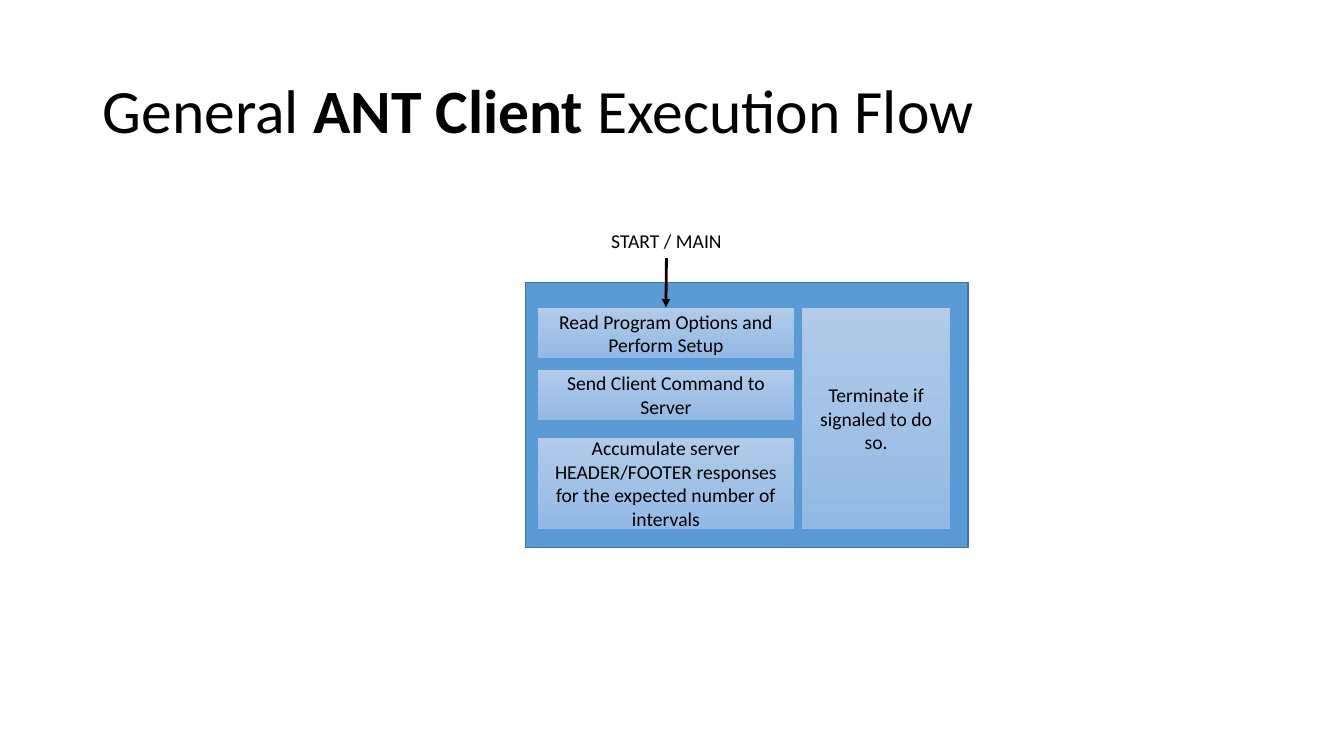
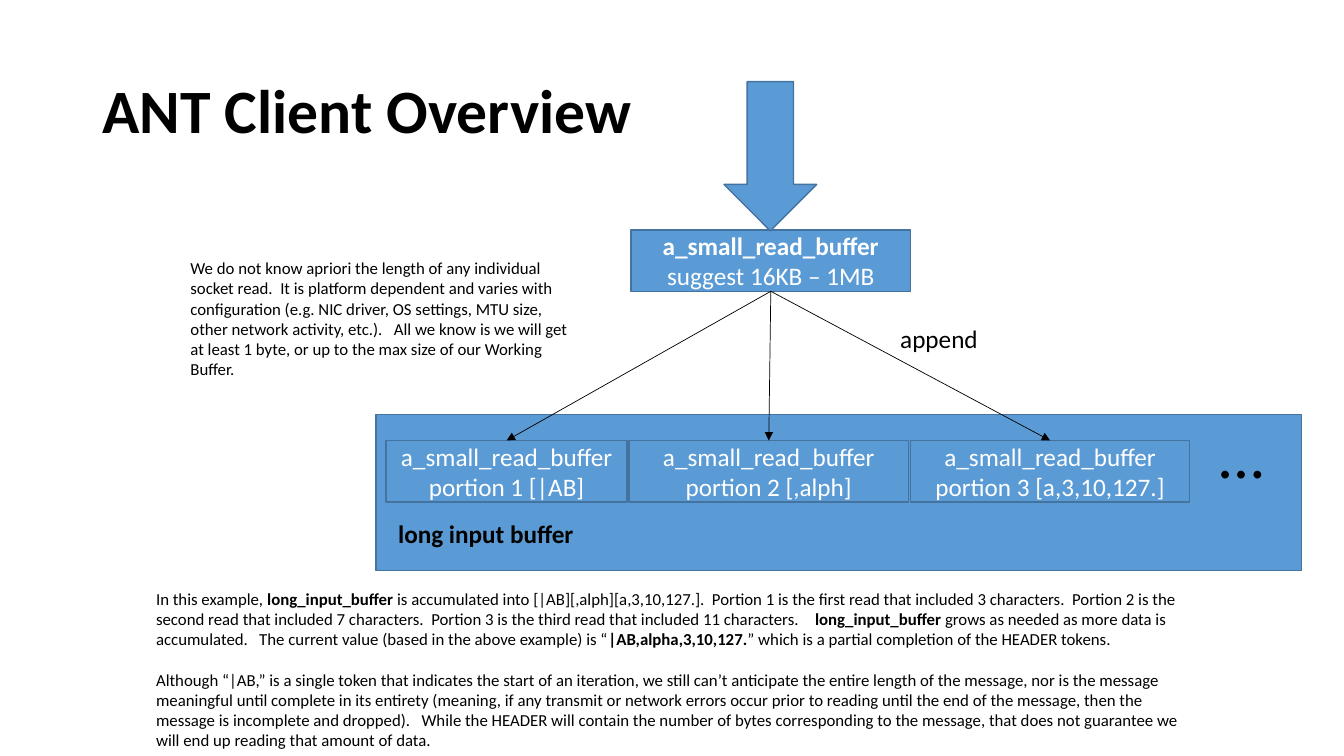
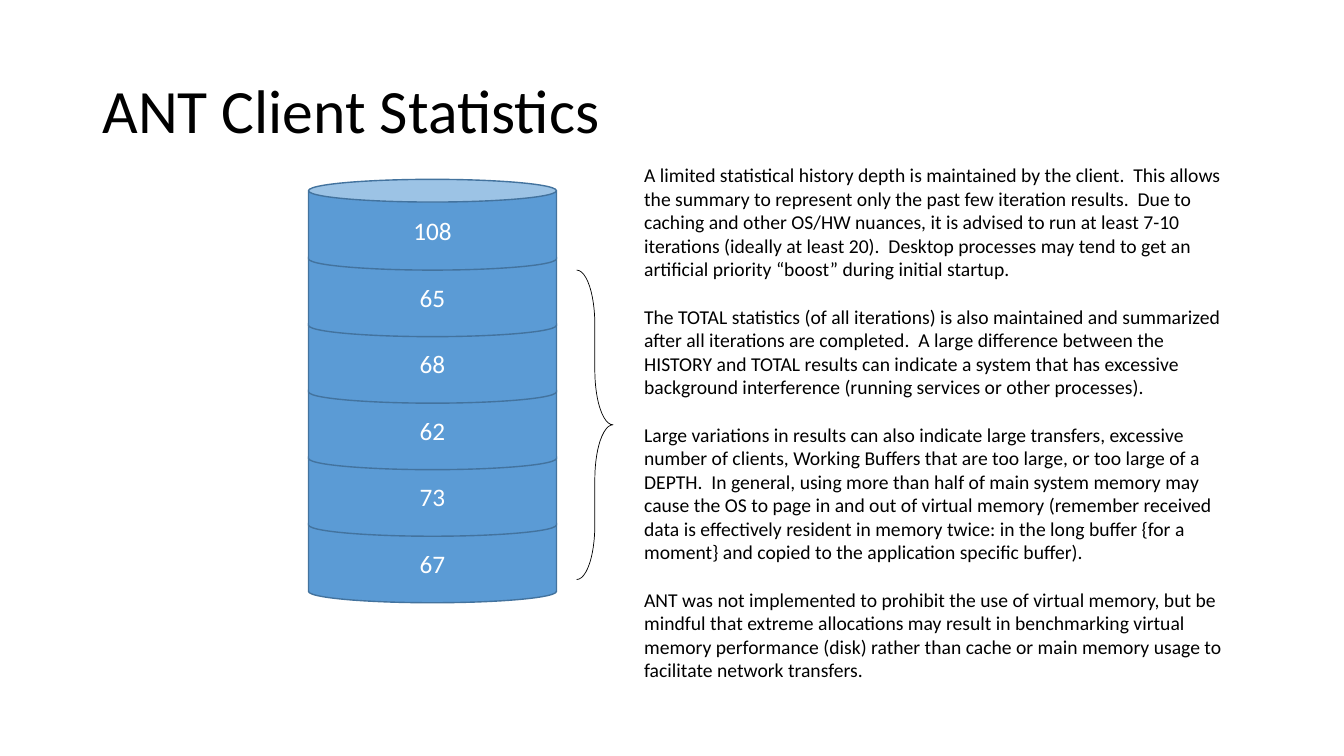
from dataclasses import dataclass

from lxml import etree
from pptx import Presentation
from pptx.dml.color import RGBColor
from pptx.enum.shapes import MSO_CONNECTOR, MSO_SHAPE
from pptx.enum.text import MSO_ANCHOR, PP_ALIGN
from pptx.oxml.ns import qn
from pptx.util import Inches, Pt

RECTANGLE = MSO_SHAPE.RECTANGLE
DOWN_ARROW = MSO_SHAPE.DOWN_ARROW
CAN = MSO_SHAPE.CAN
RIGHT_BRACE = MSO_SHAPE.RIGHT_BRACE
STRAIGHT = MSO_CONNECTOR.STRAIGHT
LEFT, CENTER = PP_ALIGN.LEFT, PP_ALIGN.CENTER
TOP, MIDDLE = MSO_ANCHOR.TOP, MSO_ANCHOR.MIDDLE

FONT = "Calibri"
COLORS = {
    "black": "000000",
    "white": "FFFFFF",
    "blue": "5B9BD5",
    "edge": "43739E",
    "pale_top": "B1CBE9",
    "pale_bottom": "93B9E4",
}


@dataclass(frozen=True)
class Area:
    """Position and size in inches."""

    left: float
    top: float
    width: float
    height: float

    @property
    def center(self) -> float:
        """Return the horizontal middle."""
        return self.left + self.width / 2

    def lengths(self) -> tuple:
        """Return the four measures as lengths."""
        return tuple(Inches(n) for n in (self.left, self.top, self.width, self.height))


@dataclass(frozen=True)
class Block:
    """An area with its text."""

    area: Area
    text: str


TITLE = Area(0.92, 0.4, 11.5, 1.45)

STEPS = (
    Block(Area(5.33, 3.05, 2.55, 0.51), "Read Program Options and Perform Setup"),
    Block(Area(5.33, 3.66, 2.55, 0.51), "Send Client Command to Server"),
    Block(
        Area(5.33, 4.34, 2.55, 0.91),
        "Accumulate server HEADER/FOOTER responses for the expected number of intervals",
    ),
    Block(Area(7.95, 3.05, 1.48, 2.2), "Terminate if signaled to do so."),
)

PORTIONS = (
    (2.39, "portion 1 [|AB]"),
    (2.77, "portion 2 [,alph]"),
    (2.77, "portion 3 [a,3,10,127.]"),
)

READ_NOTE = (
    "We do not know apriori the length of any individual socket read.  "
    "It is platform dependent and varies with configuration (e.g. NIC driver, "
    "OS settings, MTU size, other network activity, etc.).   All we know is we "
    "will get at least 1 byte, or up to the max size of our Working Buffer."
)

EXAMPLE_NOTES = (
    "In this example, **long_input_buffer** is accumulated into "
    "[|AB][,alph][a,3,10,127.].  Portion 1 is the first read that included "
    "3 characters.  Portion 2 is the second read that included 7 characters.  "
    "Portion 3 is the third read that included 11 characters.    "
    "**long_input_buffer** grows as needed as more data is accumulated.   "
    "The current value (based in the above example) is “**|AB,alpha,3,10,127.**” "
    "which is a partial completion of the HEADER tokens.",
    "Although “|AB,” is a single token that indicates the start of an iteration, "
    "we still can’t anticipate the entire length of the message, nor is the "
    "message meaningful until complete in its entirety (meaning, if any transmit "
    "or network errors occur prior to reading until the end of the message, then "
    "the message is incomplete and dropped).   While the HEADER will contain the "
    "number of bytes corresponding to the message, that does not guarantee we "
    "will end up reading that amount of data.",
)

HISTORY = (108, 65, 68, 62, 73, 67)

STATISTICS_NOTES = (
    "A limited statistical history depth is maintained by the client.  This allows "
    "the summary to represent only the past few iteration results.  Due to caching "
    "and other OS/HW nuances, it is advised to run at least 7-10 iterations "
    "(ideally at least 20).  Desktop processes may tend to get an artificial "
    "priority “boost” during initial startup.",
    "The TOTAL statistics (of all iterations) is also maintained and summarized "
    "after all iterations are completed.  A large difference between the HISTORY "
    "and TOTAL results can indicate a system that has excessive background "
    "interference (running services or other processes).",
    "Large variations in results can also indicate large transfers, excessive "
    "number of clients, Working Buffers that are too large, or too large of a "
    "DEPTH.  In general, using more than half of main system memory may cause the "
    "OS to page in and out of virtual memory (remember received data is effectively "
    "resident in memory twice: in the long buffer {for a moment} and copied to the "
    "application specific buffer).",
    "ANT was not implemented to prohibit the use of virtual memory, but be mindful "
    "that extreme allocations may result in benchmarking virtual memory performance "
    "(disk) rather than cache or main memory usage to facilitate network transfers.",
)


def rgb(name: str) -> RGBColor:
    """Look up a named colour."""
    return RGBColor.from_string(COLORS[name])


def write(box, *lines: str, size: float, color: str = "black", align=LEFT,
          anchor=TOP, gap: float = 0, spacing: float = 1.0) -> None:
    """Write one paragraph per line, with bold text between double asterisks."""
    frame = box.text_frame
    frame.word_wrap = True
    frame.vertical_anchor = anchor
    for index, line in enumerate(lines):
        para = frame.paragraphs[0] if index == 0 else frame.add_paragraph()
        para.alignment = align
        para.line_spacing = spacing
        para.space_before = Pt(gap if index else 0)
        for part, words in enumerate(line.split("**")):
            if words:
                span = para.add_run()
                span.text = words
                span.font.name = FONT
                span.font.size = Pt(size)
                span.font.bold = part % 2 == 1
                span.font.color.rgb = rgb(color)


def add_text(page, area: Area, *lines: str, **style) -> None:
    """Add a text box."""
    write(page.shapes.add_textbox(*area.lengths()), *lines, **style)


def add_blue(page, area: Area, *lines: str, kind=RECTANGLE) -> None:
    """Add a solid blue shape with white centred text."""
    shape = page.shapes.add_shape(kind, *area.lengths())
    shape.shadow.inherit = False
    shape.fill.solid()
    shape.fill.fore_color.rgb = rgb("blue")
    shape.line.color.rgb = rgb("edge")
    shape.line.width = Pt(1)
    write(shape, *lines, size=18, color="white", align=CENTER, anchor=MIDDLE)


def add_step(page, step: Block) -> None:
    """Add a pale gradient box for one step of the flow."""
    shape = page.shapes.add_shape(RECTANGLE, *step.area.lengths())
    shape.shadow.inherit = False
    shape.fill.gradient()
    shape.fill.gradient_angle = 270
    for stop, name in zip(shape.fill.gradient_stops, ("pale_top", "pale_bottom")):
        stop.color.rgb = rgb(name)
    shape.line.color.rgb = rgb("blue")
    shape.line.width = Pt(0.5)
    write(shape, step.text, size=14, align=CENTER, anchor=MIDDLE)


def add_arrow(page, start: tuple, end: tuple, *, width: float) -> None:
    """Add a black line with a triangle at its end."""
    points = (Inches(n) for n in (*start, *end))
    arrow = page.shapes.add_connector(STRAIGHT, *points)
    arrow.line.color.rgb = rgb("black")
    arrow.line.width = Pt(width)
    properties = arrow._element.spPr
    etree.SubElement(properties.find(qn("a:ln")), qn("a:tailEnd"), type="triangle")
    etree.SubElement(properties, qn("a:effectLst"))


def add_page(deck, title: str):
    """Add a blank page with its title."""
    page = deck.slides.add_slide(deck.slide_layouts[6])
    add_text(page, TITLE, title, size=44, anchor=MIDDLE, spacing=0.9)
    return page


def add_flow_page(deck) -> None:
    """Build the execution flow."""
    page = add_page(deck, "General **ANT Client** Execution Flow")
    add_blue(page, Area(5.21, 2.8, 4.39, 2.63))
    for step in STEPS:
        add_step(page, step)
    add_arrow(page, (6.61, 2.56), (STEPS[0].area.center, STEPS[0].area.top), width=2)
    add_text(page, Area(5.79, 2.22, 1.64, 0.34), "START / MAIN", size=14, align=CENTER)


def add_overview_page(deck) -> None:
    """Build the buffer overview."""
    page = add_page(deck, "**ANT Client Overview**")
    add_blue(page, Area(3.73, 4.11, 9.18, 1.55))
    buffer = Area(6.26, 2.28, 2.77, 0.61)
    add_blue(page, buffer, "**a_small_read_buffer**", "suggest 16KB – 1MB")
    add_blue(page, Area(7.18, 0.81, 0.92, 1.48), kind=DOWN_ARROW)
    left, gap = 3.83, 0.02
    for width, label in PORTIONS:
        portion = Area(left, 4.37, width, 0.61)
        add_blue(page, portion, "a_small_read_buffer", label)
        add_arrow(page, (buffer.center, buffer.top + buffer.height),
                  (portion.center, portion.top), width=0.5)
        left += width + gap
    add_text(page, Area(12, 4.05, 0.76, 0.88), "…", size=46, anchor=MIDDLE)
    add_text(page, Area(1.79, 2.51, 4.08, 1.31), READ_NOTE, size=12)
    add_text(page, Area(3.85, 5.09, 5.48, 0.4), "**long input buffer**", size=18)
    add_text(page, Area(1.45, 5.79, 10.54, 1.72), *EXAMPLE_NOTES, size=12, gap=14.5)
    add_text(page, Area(8.83, 3.16, 2.01, 0.4), "append", size=18)


def add_statistics_page(deck) -> None:
    """Build the statistics stack."""
    page = add_page(deck, "ANT Client Statistics")
    for index, value in reversed(list(enumerate(HISTORY))):
        add_blue(page, Area(3.06, 1.78 + 0.66 * index, 2.46, 0.9), str(value), kind=CAN)
    brace = page.shapes.add_shape(RIGHT_BRACE, *Area(5.72, 2.68, 0.36, 3.07).lengths())
    brace.shadow.inherit = False
    brace.adjustments[0] = 1.51
    brace.fill.background()
    brace.line.color.rgb = rgb("black")
    brace.line.width = Pt(0.5)
    add_text(page, Area(6.29, 1.57, 5.99, 5.28), *STATISTICS_NOTES, size=14, gap=17)


def main() -> None:
    """Build and save the deck."""
    deck = Presentation()
    deck.slide_width = Inches(13.33)
    deck.slide_height = Inches(7.5)
    add_flow_page(deck)
    add_overview_page(deck)
    add_statistics_page(deck)
    deck.save("out.pptx")


if __name__ == "__main__":
    main()
